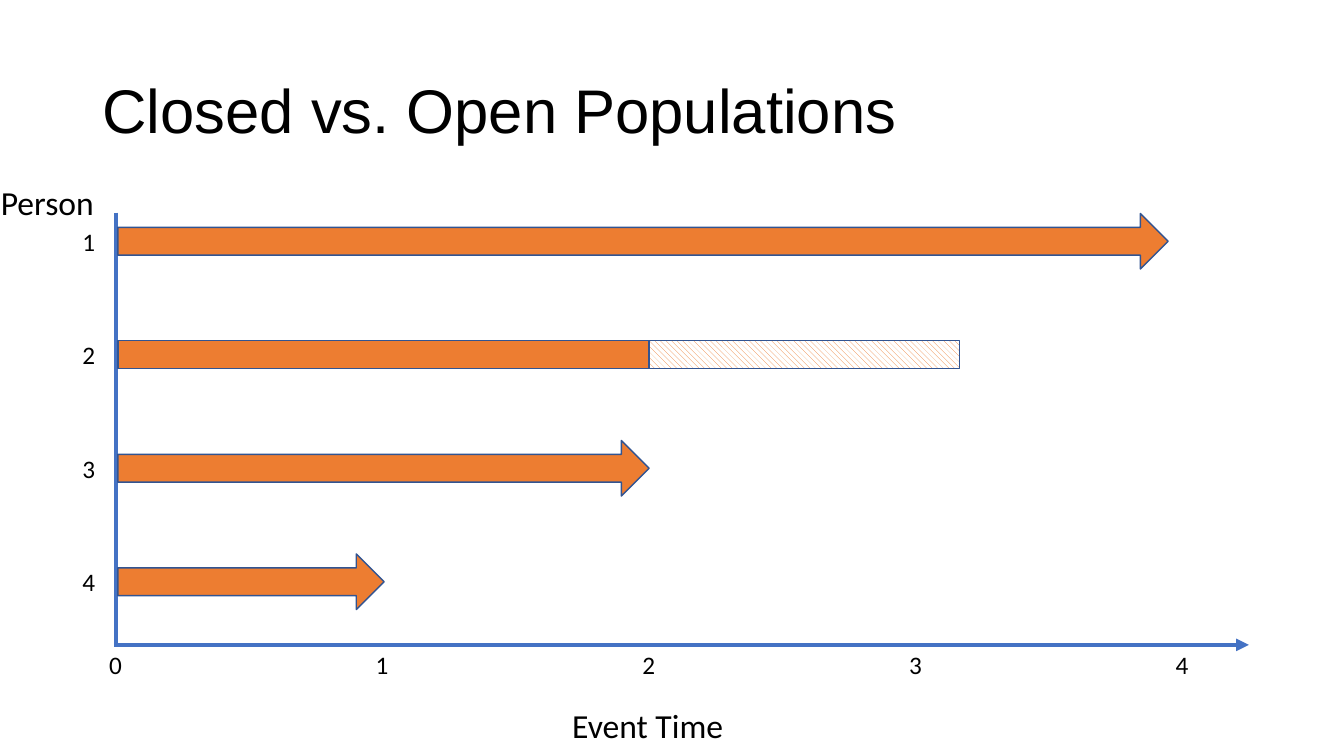
"""Build a slide comparing follow-up of four people over event time."""
from lxml import etree
from pptx import Presentation
from pptx import util as u
from pptx.dml.color import RGBColor
from pptx.enum import dml, shapes, text
from pptx.oxml import ns

COLOURS = {"ink": "000000", "axis": "4472C4", "bar": "ED7D31",
           "outline": "325491", "paper": "FFFFFF"}
AXIS_X, AXIS_Y = 2.92, 16.25
TICK_STEP = 6.72
FIRST_ROW, ROW_STEP = 6.08, 2.86
BAR_START, BAR_HEIGHT, ARROW_HEIGHT = 2.97, 0.71, 1.4
LABEL_WIDTH, LABEL_HEIGHT = 0.84, 1.02


def colour(name):
    return RGBColor.from_string(COLOURS[name])


def add_text(page, words, left, top, width, height, size=18):
    box = page.shapes.add_textbox(u.Cm(left), u.Cm(top), u.Cm(width), u.Cm(height))
    box.text_frame.word_wrap = False
    box.text_frame.auto_size = text.MSO_AUTO_SIZE.SHAPE_TO_FIT_TEXT
    para = box.text_frame.paragraphs[0]
    para.text = words
    para.font.size = u.Pt(size)
    para.font.name = "Calibri"
    para.font.color.rgb = colour("ink")
    return box


def add_title(page, words):
    box = add_text(page, words, 2.33, 1.01, 29.21, 3.68, 44)
    frame = box.text_frame
    frame.auto_size = text.MSO_AUTO_SIZE.NONE
    frame.word_wrap = True
    frame.vertical_anchor = text.MSO_ANCHOR.MIDDLE
    frame.paragraphs[0].line_spacing = 0.9
    frame.paragraphs[0].font.name = "Arial"


def add_axis(page, x1, y1, x2, y2, arrow=False):
    axis = page.shapes.add_connector(
        shapes.MSO_CONNECTOR.STRAIGHT, u.Cm(x1), u.Cm(y1), u.Cm(x2), u.Cm(y2))
    axis.line.color.rgb = colour("axis")
    axis.line.width = u.Pt(3)
    if arrow:
        etree.SubElement(axis.line._get_or_add_ln(), ns.qn("a:tailEnd"), type="triangle")
    etree.SubElement(axis._element.spPr, ns.qn("a:effectLst"))


def add_bar(page, row, start, end, arrow=True, hatched=False):
    kind = shapes.MSO_SHAPE.RIGHT_ARROW if arrow else shapes.MSO_SHAPE.RECTANGLE
    height = ARROW_HEIGHT if arrow else BAR_HEIGHT
    top = FIRST_ROW + row * ROW_STEP - height / 2
    bar = page.shapes.add_shape(kind, u.Cm(start), u.Cm(top), u.Cm(end - start), u.Cm(height))
    bar.shadow.inherit = False
    if hatched:
        bar.fill.patterned()
        bar.fill.pattern = dml.MSO_PATTERN.WIDE_DOWNWARD_DIAGONAL
        bar.fill.fore_color.rgb = colour("bar")
        bar.fill.back_color.rgb = colour("paper")
    else:
        bar.fill.solid()
        bar.fill.fore_color.rgb = colour("bar")
    bar.line.color.rgb = colour("outline")
    bar.line.width = u.Pt(1)


def main():
    deck = Presentation()
    deck.slide_width, deck.slide_height = u.Cm(33.87), u.Cm(19.05)
    page = deck.slides.add_slide(deck.slide_layouts[6])

    add_axis(page, AXIS_X, 5.36, AXIS_X, AXIS_Y)
    add_axis(page, 2.87, AXIS_Y, 31.47, AXIS_Y, arrow=True)
    add_text(page, "Event Time", 14.17, 17.65, 4.37, 1.27, 24)
    add_text(page, "Person", -0.23, 4.45, 2.87, 1.27, 24)
    for tick in range(5):
        left = AXIS_X + tick * TICK_STEP - LABEL_WIDTH / 2
        add_text(page, str(tick), left, 16.23, LABEL_WIDTH, LABEL_HEIGHT)
    for row in range(4):
        top = FIRST_ROW + row * ROW_STEP - LABEL_HEIGHT / 2
        add_text(page, str(row + 1), 1.83, top, LABEL_WIDTH, LABEL_HEIGHT)
    add_title(page, "Closed vs. Open Populations")

    for row, end in enumerate((29.44, 16.36, 16.36, 9.68)):
        add_bar(page, row, BAR_START, end, arrow=row != 1)
    add_bar(page, 1, 16.36, 24.18, arrow=False, hatched=True)

    deck.save("out.pptx")


if __name__ == "__main__":
    main()
